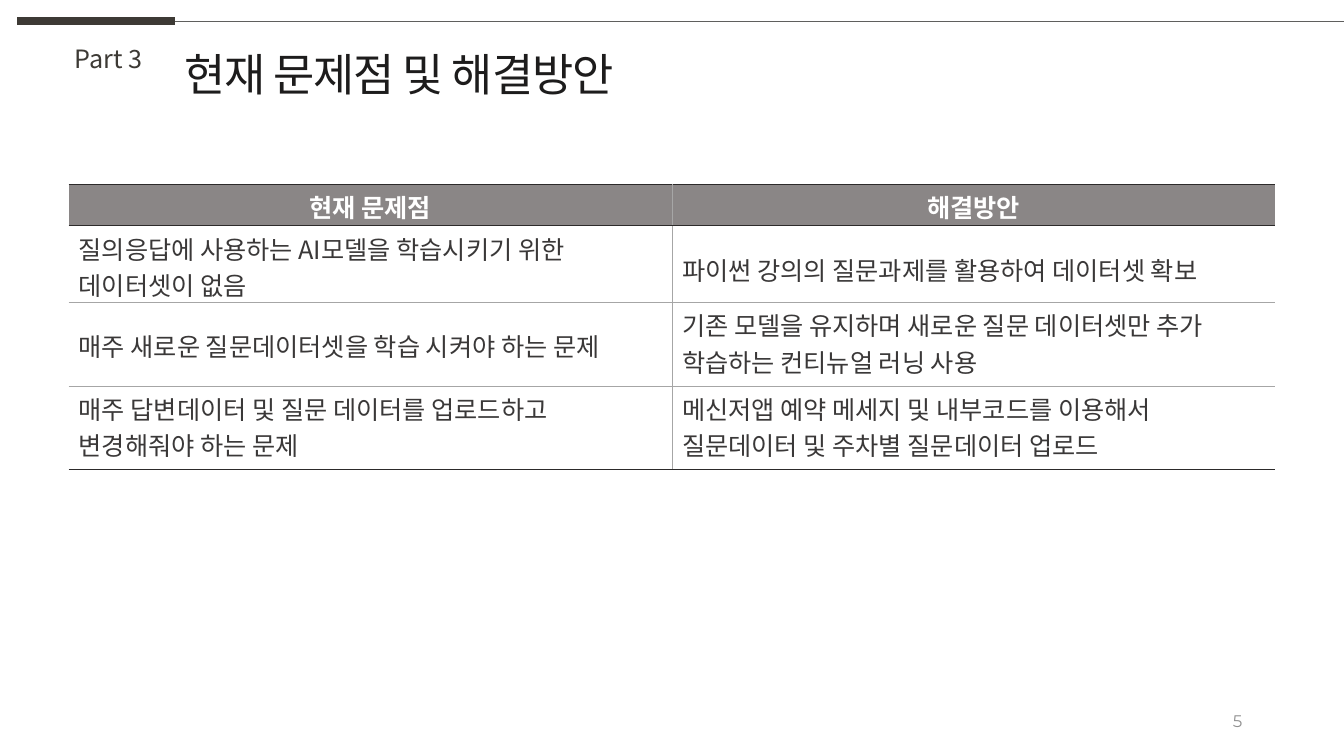
import lxml.etree
import pptx
import pptx.dml.color
import pptx.enum.shapes
import pptx.enum.text
import pptx.oxml.ns
import pptx.util

Inches = pptx.util.Inches
Pt = pptx.util.Pt
RGBColor = pptx.dml.color.RGBColor
PP_ALIGN = pptx.enum.text.PP_ALIGN
ANCHOR = pptx.enum.text.MSO_ANCHOR
AUTO_SIZE = pptx.enum.text.MSO_AUTO_SIZE
qn = pptx.oxml.ns.qn

INK = RGBColor(0x1D, 0x1C, 0x1C)
BROWN = RGBColor(0x3D, 0x3A, 0x35)
RULE_GRAY = RGBColor(0x5F, 0x5F, 0x5D)
PAGE_GRAY = RGBColor(0x91, 0x91, 0x91)
HEADER_FILL = RGBColor(0x8A, 0x86, 0x86)
BODY_TEXT = RGBColor(0x3A, 0x38, 0x38)
WHITE = RGBColor(0xFF, 0xFF, 0xFF)
DARK_EDGE = (RGBColor(0x2C, 0x2A, 0x2A), 1)
LIGHT_EDGE = (RGBColor(0xA6, 0xA6, 0xA6), 0.5)

KOREAN = "Noto Sans CJK KR"
TITLE_FORMAT = {"size": Pt(32), "name": KOREAN}
PART_FORMAT = {"size": Pt(18), "name": KOREAN}
NUMBER_FORMAT = {"size": Pt(12), "name": "Montserrat"}
HEADER_FORMAT = {"size": Pt(18), "name": KOREAN, "bold": True}
BODY_FORMAT = {"size": Pt(18), "name": KOREAN, "bold": False}

ROW_HEIGHTS = [0.41, 0.76, 0.83, 0.83]
TABLE_ROWS = [
    [["현재 문제점"], ["해결방안"]],
    [["질의응답에 사용하는 AI모델을 학습시키기 위한", "데이터셋이 없음"],
     ["파이썬 강의의 질문과제를 활용하여 데이터셋 확보"]],
    [["매주 새로운 질문데이터셋을 학습 시켜야 하는 문제"],
     ["기존 모델을 유지하며 새로운 질문 데이터셋만 추가", "학습하는 컨티뉴얼 러닝 사용"]],
    [["매주 답변데이터 및 질문 데이터를 업로드하고", "변경해줘야 하는 문제"],
     ["메신저앱 예약 메세지 및 내부코드를 이용해서", "질문데이터 및 주차별 질문데이터 업로드"]],
]


def write_lines(frame, lines, font_format, color, align=PP_ALIGN.LEFT):
    """Fill a text frame with one unkerned paragraph per line and return the last run."""
    for index, line in enumerate(lines):
        para = frame.add_paragraph() if index else frame.paragraphs[0]
        para.alignment = align
        span = para.add_run()
        span.text = line
        for name, value in font_format.items():
            setattr(span.font, name, value)
        span.font.color.rgb = color
        span.font._element.set("kern", "0")
        east_asian = lxml.etree.SubElement(span.font._element, qn("a:ea"))
        east_asian.set("typeface", font_format["name"])
    return span


def add_rule(page, start, end, y, color, width):
    """Draw a horizontal line without a shadow."""
    rule = page.shapes.add_connector(
        pptx.enum.shapes.MSO_CONNECTOR.STRAIGHT,
        Inches(start), Inches(y), Inches(end), Inches(y))
    rule.line.color.rgb = color
    rule.line.width = Pt(width)
    lxml.etree.SubElement(rule._element.spPr, qn("a:effectLst"))


def add_heading(page, left, top, width):
    """Place the top rules, part label and title from the heading's corner."""
    split = left + 1.57
    add_rule(page, left, split, top, BROWN, 6)
    add_rule(page, split, left + width, top, RULE_GRAY, 0.5)

    title_box = page.shapes.add_textbox(
        Inches(left + 1.56), Inches(top + 0.15), Inches(4.66), Inches(0.61))
    title = write_lines(title_box.text_frame, ["현재 문제점 및 해결방안"], TITLE_FORMAT, INK)
    title.font._element.set("spc", "-80")
    title_box.text_frame.paragraphs[0].line_spacing = 1.1

    part_box = page.shapes.add_textbox(
        Inches(left + 0.47), Inches(top + 0.17), Inches(0.88), Inches(0.4))
    write_lines(part_box.text_frame, ["Part 3"], PART_FORMAT, BROWN)
    for box in (title_box, part_box):
        box.text_frame.word_wrap = False
        box.text_frame.auto_size = AUTO_SIZE.SHAPE_TO_FIT_TEXT


def add_page_number(page, left, top, width, height):
    """Place the page number at the right of its box."""
    box = page.shapes.add_textbox(Inches(left), Inches(top), Inches(width), Inches(height))
    box.text_frame.word_wrap = True
    box.text_frame.vertical_anchor = ANCHOR.MIDDLE
    write_lines(box.text_frame, ["5"], NUMBER_FORMAT, PAGE_GRAY, PP_ALIGN.RIGHT)


def set_borders(cell, edges):
    """Draw the cell edges, leaving an edge of None unpainted."""
    properties = cell._tc.get_or_add_tcPr()
    for tag, edge in edges.items():
        line = lxml.etree.SubElement(properties, qn(tag))
        if edge is None:
            lxml.etree.SubElement(line, qn("a:noFill"))
            continue
        color, width = edge
        line.set("w", str(Pt(width)))
        fill = lxml.etree.SubElement(line, qn("a:solidFill"))
        lxml.etree.SubElement(fill, qn("a:srgbClr")).set("val", str(color))


def add_problem_table(page, left, top, width):
    """Place the table of problems and solutions from its corner."""
    row_count, column_count = len(TABLE_ROWS), len(TABLE_ROWS[0])
    holder = page.shapes.add_table(
        row_count, column_count, Inches(left), Inches(top),
        Inches(width), Inches(sum(ROW_HEIGHTS)))
    table = holder.table
    for row, row_height in zip(table.rows, ROW_HEIGHTS):
        row.height = Inches(row_height)

    row_edges = [DARK_EDGE, DARK_EDGE, LIGHT_EDGE, LIGHT_EDGE, DARK_EDGE]
    column_edges = [None, LIGHT_EDGE, None]
    for r, texts in enumerate(TABLE_ROWS):
        for c, lines in enumerate(texts):
            cell = table.cell(r, c)
            set_borders(cell, {
                "a:lnL": column_edges[c], "a:lnR": column_edges[c + 1],
                "a:lnT": row_edges[r], "a:lnB": row_edges[r + 1]})
            cell.margin_bottom = 0
            cell.margin_top = Inches(0.25 if r and len(lines) == 1 else 0.04)
            if r == 0:
                cell.fill.solid()
                cell.fill.fore_color.rgb = HEADER_FILL
                write_lines(cell.text_frame, lines, HEADER_FORMAT, WHITE, PP_ALIGN.CENTER)
            else:
                cell.fill.background()
                write_lines(cell.text_frame, lines, BODY_FORMAT, BODY_TEXT)


def main():
    """Build the slide and save the deck."""
    deck = pptx.Presentation()
    deck.slide_width = Inches(13.33)
    deck.slide_height = Inches(7.5)
    page = deck.slides.add_slide(deck.slide_layouts[6])
    add_heading(page, 0.17, 0.21, 13.16)
    add_page_number(page, 9.42, 6.95, 3, 0.4)
    add_problem_table(page, 0.68, 1.83, 11.97)
    deck.save("out.pptx")


if __name__ == "__main__":
    main()
